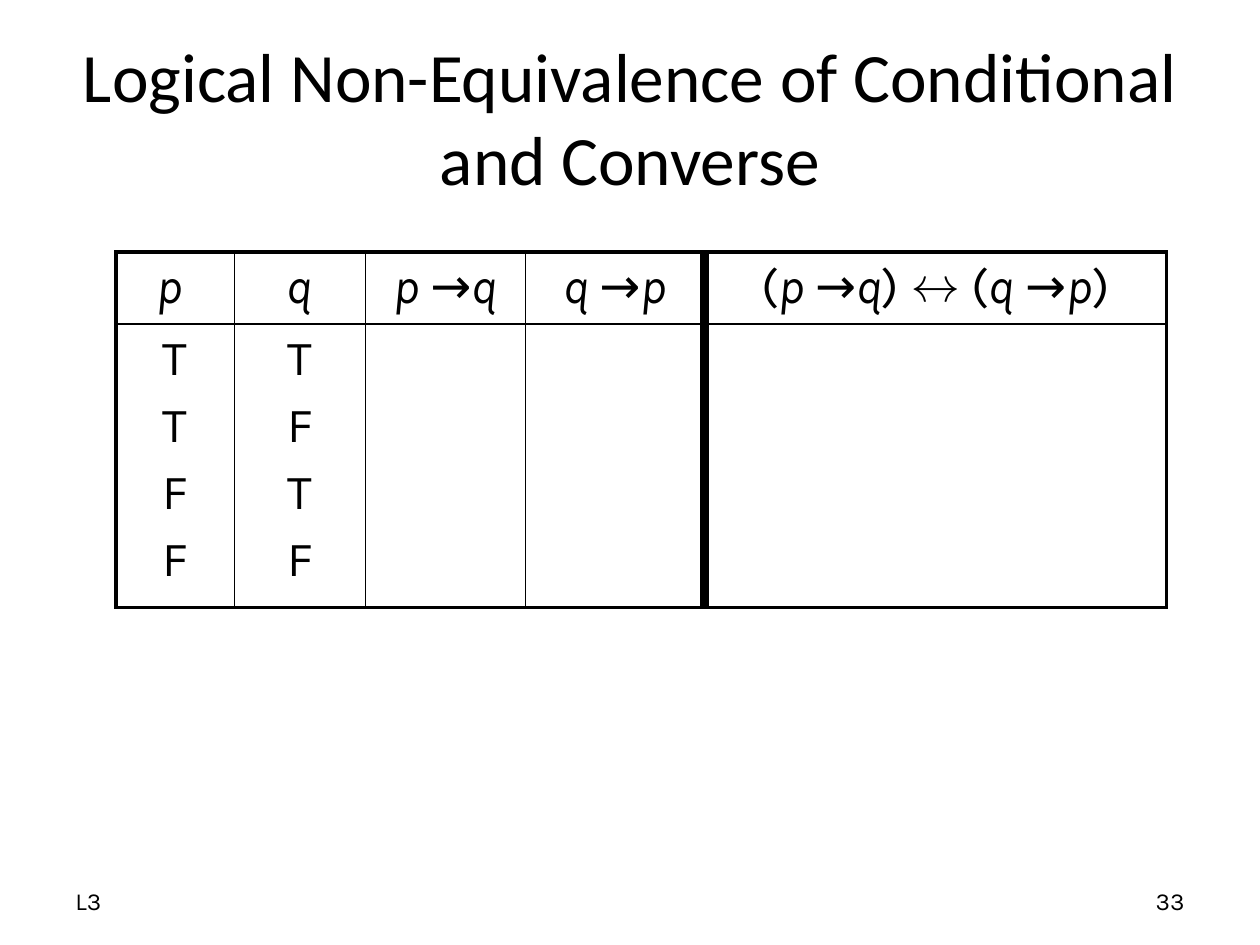
from lxml.etree import SubElement
from pptx import Presentation
from pptx.dml.color import RGBColor
from pptx.enum.text import MSO_ANCHOR, MSO_AUTO_SIZE, PP_ALIGN
from pptx.oxml.ns import qn
from pptx.util import Inches, Pt

COLORS = {"ink": "000000", "paper": "FFFFFF"}
TITLE_FONT, BODY_FONT = "Calibri", "Karla"
THIN, FRAME, DIVIDER = 1, 2.25, 6

CONDITIONAL = ["p ", "→", "q"]
CONVERSE = ["q ", "→", "p"]
HEADERS = [
    ["p "],
    ["q"],
    CONDITIONAL,
    CONVERSE,
    ["(", *CONDITIONAL, ") ↔ (", *CONVERSE, ")"],
]
TRUTH_VALUES = ["TTFF", "TFTF", "", "", ""]
COL_WIDTHS = [0.94, 1.04, 1.27, 1.42, 3.67]
ROW_HEIGHTS = [0.57, 2.25]
# Vertical rules from the left edge of the table to the right edge
RULES_X = [FRAME, THIN, THIN, THIN, DIVIDER, FRAME]
RULES_Y = [FRAME, THIN, FRAME]


def format_run(r, size, font, italic=False):
    r.font.size = Pt(size)
    r.font.name = font
    r.font.italic = italic
    r.font.color.rgb = RGBColor.from_string(COLORS["ink"])


def place(shape, left, top, width, height):
    shape.left, shape.top = Inches(left), Inches(top)
    shape.width, shape.height = Inches(width), Inches(height)


def set_title(s, text):
    title = s.shapes.title
    place(title, 0.5, 0.3, 9, 1.25)
    tf = title.text_frame
    tf.text = text
    tf.word_wrap = True
    tf.auto_size = MSO_AUTO_SIZE.NONE
    tf.vertical_anchor = MSO_ANCHOR.MIDDLE
    p = tf.paragraphs[0]
    p.alignment = PP_ALIGN.CENTER
    format_run(p.runs[0], 39.6, TITLE_FONT)


def add_footer(s, text, left, alignment):
    box = s.shapes.add_textbox(Inches(left), Inches(6.95), Inches(2.33), Inches(0.4))
    tf = box.text_frame
    tf.text = text
    tf.word_wrap = True
    tf.vertical_anchor = MSO_ANCHOR.MIDDLE
    p = tf.paragraphs[0]
    p.alignment = alignment
    format_run(p.runs[0], 14, BODY_FONT)


def set_borders(cell, **widths):
    """Draw the cell's L, R, T and B borders, with widths in points."""
    tc_pr = cell._tc.get_or_add_tcPr()
    for side in "LRTB":
        ln = SubElement(tc_pr, qn(f"a:ln{side}"), w=str(Pt(widths[side])))
        fill = SubElement(ln, qn("a:solidFill"))
        SubElement(fill, qn("a:srgbClr"), val=COLORS["ink"])


def fill_cell(cell, lines):
    """Write one paragraph per line, each a list of runs; variables are italic."""
    tf = cell.text_frame
    for i, line in enumerate(lines):
        p = tf.add_paragraph() if i else tf.paragraphs[0]
        p.alignment = PP_ALIGN.CENTER
        if i:
            p.space_before = Pt(5.6)
        for text in line:
            r = p.add_run()
            r.text = text
            format_run(r, 28, BODY_FONT, italic=text[0] in "pq")


def add_truth_table(s):
    frame = s.shapes.add_table(
        len(ROW_HEIGHTS), len(COL_WIDTHS), Inches(0.92), Inches(2),
        Inches(sum(COL_WIDTHS)), Inches(sum(ROW_HEIGHTS)))
    table = frame.table
    table.first_row = table.horz_banding = False
    for column, width in zip(table.columns, COL_WIDTHS):
        column.width = Inches(width)
    for row, height in zip(table.rows, ROW_HEIGHTS):
        row.height = Inches(height)
    for j, (header, values) in enumerate(zip(HEADERS, TRUTH_VALUES)):
        for i, lines in enumerate([[header], [[value] for value in values]]):
            cell = table.cell(i, j)
            fill_cell(cell, lines)
            set_borders(cell, L=RULES_X[j], R=RULES_X[j + 1],
                        T=RULES_Y[i], B=RULES_Y[i + 1])
            cell.fill.background()


def main():
    prs = Presentation()
    prs.slide_width, prs.slide_height = Inches(10), Inches(7.5)
    s = prs.slides.add_slide(prs.slide_layouts[5])
    s.background.fill.solid()
    s.background.fill.fore_color.rgb = RGBColor.from_string(COLORS["paper"])
    add_footer(s, "L3", 0.5, PP_ALIGN.LEFT)
    add_footer(s, "33", 7.17, PP_ALIGN.RIGHT)
    set_title(s, "Logical Non-Equivalence of Conditional and Converse")
    add_truth_table(s)
    prs.save("out.pptx")


if __name__ == "__main__":
    main()
